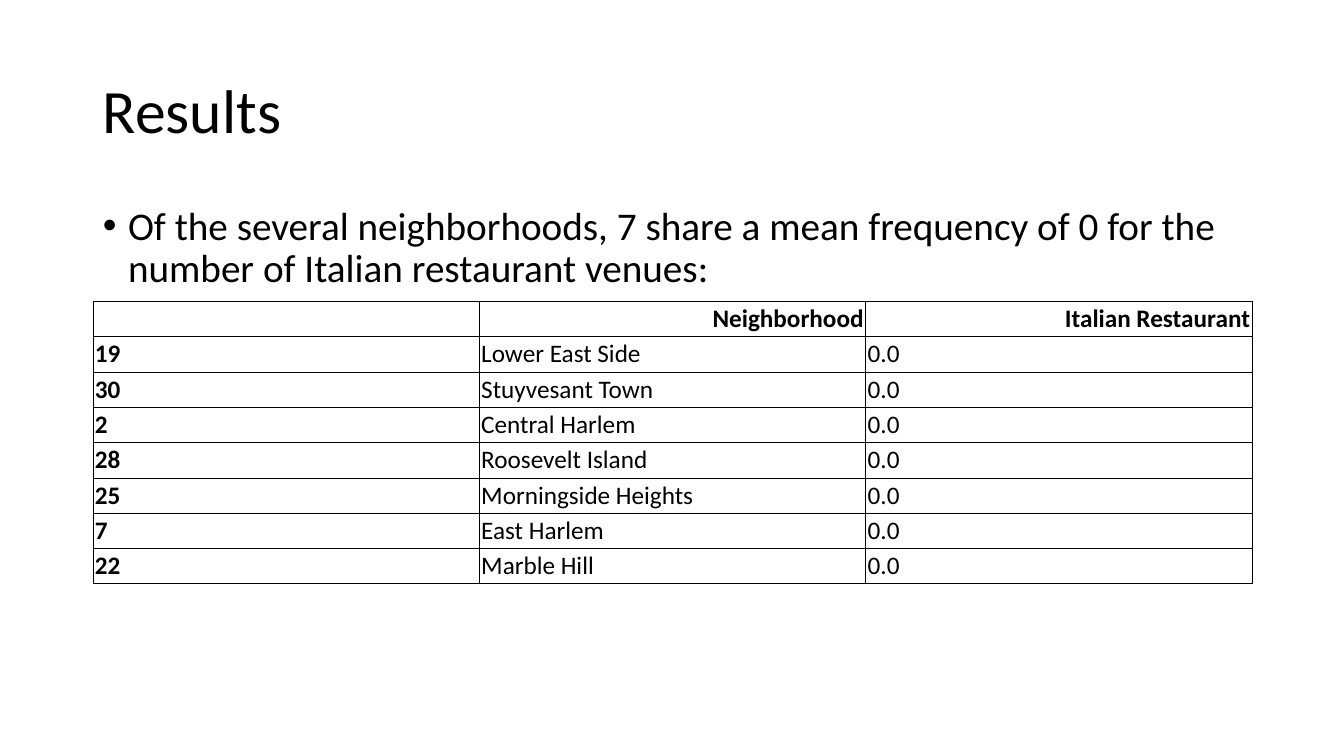
from lxml.etree import SubElement
from pptx import Presentation
from pptx.dml.color import RGBColor
from pptx.enum.text import MSO_ANCHOR as Anchor, MSO_AUTO_SIZE as Fit, PP_ALIGN as Align
from pptx.oxml.ns import qn
from pptx.util import Inches, Pt

TITLE = "Results"
POINT = ("Of the several neighborhoods, 7 share a mean frequency of 0 "
         "for the number of Italian restaurant venues: ")
HEAD = ("", "Neighborhood", "Italian Restaurant")
ROWS = [
    ("19", "Lower East Side", "0.0"),
    ("30", "Stuyvesant Town", "0.0"),
    ("2", "Central Harlem", "0.0"),
    ("28", "Roosevelt Island", "0.0"),
    ("25", "Morningside Heights", "0.0"),
    ("7", "East Harlem", "0.0"),
    ("22", "Marble Hill", "0.0"),
]
COLORS = {"ink": "000000", "paper": "FFFFFF"}
FONT = "Calibri"
LEFT, WIDTH = 0.92, 11.5
ROW_H, PAD, EDGE = 0.35, 0.02, 0.43


def style(para, size, bold=False, align=Align.LEFT):
    """Format a paragraph and its runs."""
    para.alignment = align
    for run in para.runs:
        font = run.font
        font.name, font.size, font.bold = FONT, Pt(size), bold
        font.color.rgb = RGBColor.from_string(COLORS["ink"])


def fill_holder(shape, top, height, text, size, anchor):
    """Place a placeholder and give it one paragraph."""
    shape.left, shape.width = Inches(LEFT), Inches(WIDTH)
    shape.top, shape.height = Inches(top), Inches(height)
    frame = shape.text_frame
    frame.text = text
    frame.word_wrap = True
    frame.auto_size = Fit.NONE
    frame.vertical_anchor = anchor
    para = frame.paragraphs[0]
    para.line_spacing = 0.9
    style(para, size)
    return para


def add_edges(cell):
    """Draw a thin line on all four sides of a cell."""
    props = cell._tc.get_or_add_tcPr()
    for side in ("lnL", "lnR", "lnT", "lnB"):
        line = SubElement(props, qn("a:" + side), w=str(Pt(EDGE)))
        paint = SubElement(line, qn("a:solidFill"))
        SubElement(paint, qn("a:srgbClr"), val=COLORS["ink"])


def fill_cell(cell, text, bold, align):
    """Write and format one table cell."""
    add_edges(cell)
    cell.fill.solid()
    cell.fill.fore_color.rgb = RGBColor.from_string(COLORS["paper"])
    cell.margin_left = cell.margin_right = Inches(PAD)
    cell.margin_top = cell.margin_bottom = Inches(PAD)
    cell.vertical_anchor = Anchor.MIDDLE
    para = cell.text_frame.paragraphs[0]
    if text:
        para.text = text
    style(para, 18, bold, align)


def add_grid(slide, top):
    """Add the table of neighborhoods."""
    data = [HEAD, *ROWS]
    table = slide.shapes.add_table(
        len(data), len(HEAD), Inches(LEFT), Inches(top),
        Inches(WIDTH), Inches(ROW_H * len(data))).table
    table.horz_banding = False
    for r, row in enumerate(data):
        for c, text in enumerate(row):
            align = Align.RIGHT if r == 0 else Align.LEFT
            fill_cell(table.cell(r, c), text, r == 0 or c == 0, align)


deck = Presentation()
deck.slide_width, deck.slide_height = Inches(13.33), Inches(7.5)
slide = deck.slides.add_slide(deck.slide_layouts[1])
title, body = slide.placeholders

fill_holder(title, 0.4, 1.45, TITLE, 44, Anchor.MIDDLE)
point = fill_holder(body, 2, 4.76, POINT, 28, Anchor.TOP)
point.space_before = Pt(10)
props = point._p.get_or_add_pPr()
props.set("marL", str(Inches(0.25)))
props.set("indent", str(Inches(-0.25)))
SubElement(props, qn("a:buFont"), typeface="Arial")
SubElement(props, qn("a:buChar"), char="•")
add_grid(slide, 2.99)

deck.save("out.pptx")
